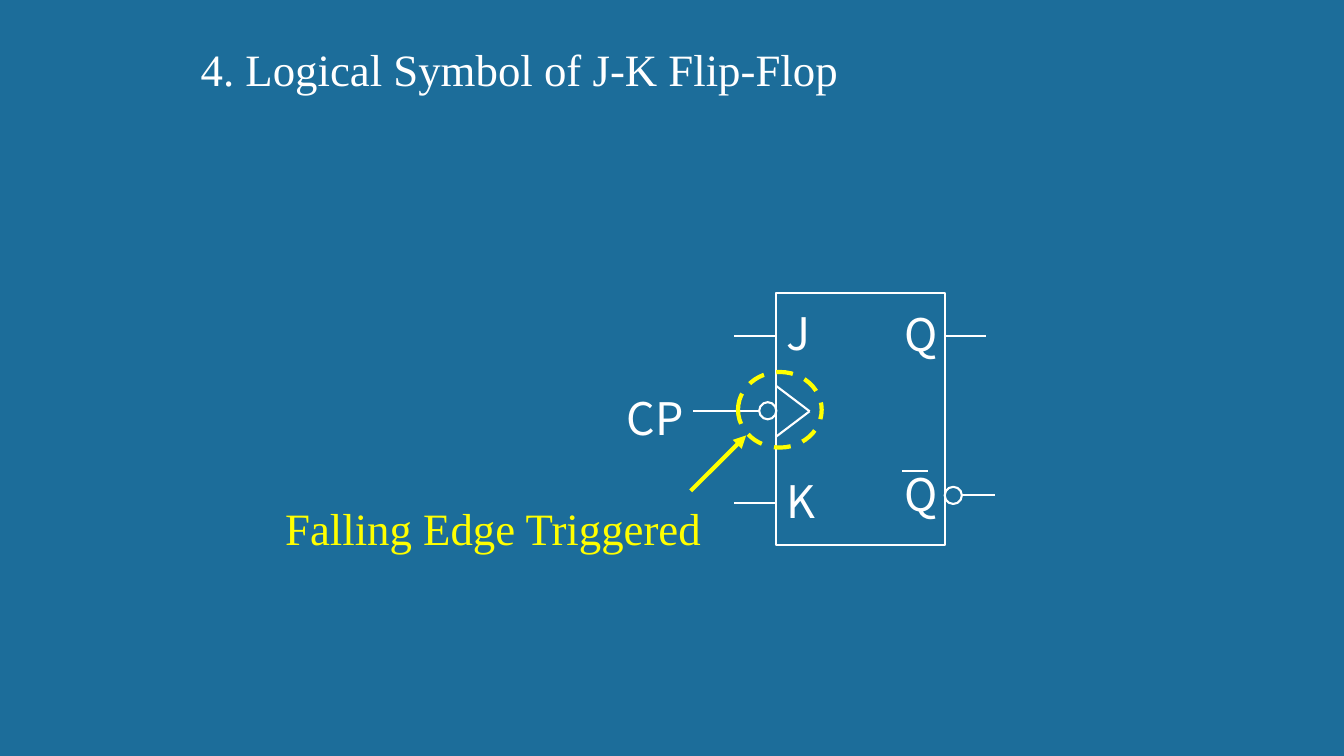
import pptx
import pptx.util
import pptx.dml.color
import pptx.enum.dml
import pptx.enum.shapes
import pptx.enum.text
import pptx.oxml
import pptx.oxml.ns
from pptx.util import Inches

WHITE, YELLOW, BLUE = "FFFFFF", "FFFF00", "1C6D9A"
SERIF, SANS = "Times New Roman", "Noto Sans CJK SC"
SHAPE = pptx.enum.shapes.MSO_SHAPE


def tint(code):
    return pptx.dml.color.RGBColor.from_string(code)


def write(frame, text, font=SERIF, color=WHITE, size=32, wrap=True,
          anchor=pptx.enum.text.MSO_ANCHOR.TOP):
    """Put one left-aligned line of text in a frame that fits its text."""
    frame.word_wrap = wrap
    frame.auto_size = pptx.enum.text.MSO_AUTO_SIZE.SHAPE_TO_FIT_TEXT
    frame.vertical_anchor = anchor
    para = frame.paragraphs[0]
    para.alignment = pptx.enum.text.PP_ALIGN.LEFT
    run = para.add_run()
    run.text = text
    run.font.name = font
    run.font.size = pptx.util.Pt(size)
    run.font.color.rgb = tint(color)


class Board:
    """The slide, its default line style and the group being drawn into."""

    def __init__(self, deck, color=WHITE, width=1.5):
        self.slide = deck.slides.add_slide(deck.slide_layouts[5])
        self.slide.background.fill.solid()
        self.slide.background.fill.fore_color.rgb = tint(BLUE)
        self.color, self.width = color, width
        self.shapes = self.slide.shapes

    def group(self):
        self.shapes = self.slide.shapes.add_group_shape().shapes

    def leave(self):
        """Go back from the group to the slide itself."""
        self.shapes = self.slide.shapes

    def title(self, text, x, y, w, h):
        holder = self.slide.shapes.title
        holder.left, holder.top = Inches(x), Inches(y)
        holder.width, holder.height = Inches(w), Inches(h)
        write(holder.text_frame, text, anchor=pptx.enum.text.MSO_ANCHOR.BOTTOM)

    def label(self, text, x, y, w, h, **style):
        box = self.shapes.add_textbox(Inches(x), Inches(y), Inches(w), Inches(h))
        write(box.text_frame, text, **style)

    def stroke(self, line, color, width):
        line.color.rgb = tint(color or self.color)
        line.width = pptx.util.Pt(width or self.width)

    def shape(self, kind, x, y, w, h, color=None, width=None, dash=None):
        item = self.shapes.add_shape(kind, Inches(x), Inches(y), Inches(w), Inches(h))
        item.shadow.inherit = False
        item.fill.background()
        self.stroke(item.line, color, width)
        if dash:
            item.line.dash_style = dash

    def wire(self, x1, y1, x2, y2, color=None, width=None, arrow=False):
        item = self.shapes.add_connector(
            pptx.enum.shapes.MSO_CONNECTOR.STRAIGHT,
            Inches(x1), Inches(y1), Inches(x2), Inches(y2))
        self.stroke(item.line, color, width)
        props = item._element.spPr
        if arrow:
            tip = pptx.oxml.parse_xml(
                f'<a:tailEnd {pptx.oxml.ns.nsdecls("a")} type="triangle"/>')
            item.line._get_or_add_ln().append(tip)
        props.append(pptx.oxml.parse_xml(
            f'<a:effectLst {pptx.oxml.ns.nsdecls("a")}/>'))


def main():
    deck = pptx.Presentation()
    deck.slide_width, deck.slide_height = Inches(13.33), Inches(7.5)
    board = Board(deck)
    board.title("4. Logical Symbol of J-K Flip-Flop", 1.89, 0.36, 9.58, 0.64)

    # Flip-flop symbol
    left, right, clock, ring = 7.7, 9.37, 4.08, 0.17
    board.group()
    board.shape(SHAPE.RECTANGLE, left, 2.91, right - left, 2.5)
    for edge in (clock - 0.25, clock + 0.25):
        board.wire(left, edge, left + 0.33, clock)
    for x1, x2, y in [(right, 9.78, 3.33), (right + ring, 9.87, 4.91),
                      (left - ring, 6.87, clock), (left, 7.28, 3.33),
                      (left, 7.28, 4.99), (8.95, 9.2, 4.67)]:
        board.wire(x1, y, x2, y)
    for x, y in [(left - ring, 3.99), (right, 4.83)]:
        board.shape(SHAPE.OVAL, x, y, ring, ring)
    for text, x, y in [("J", left, 2.98), ("K", left, 4.65),
                       ("Q", 8.87, 2.99), ("Q", 8.87, 4.58)]:
        board.label(text, x, y, 0.42, 0.63, font=SANS, wrap=False)
    board.label("CP", 6.12, 3.83, 1, 0.63, font=SANS)
    board.leave()

    # Clock edge callout
    board.shape(SHAPE.OVAL, 7.32, 3.69, 0.83, 0.75, color=YELLOW, width=3,
                dash=pptx.enum.dml.MSO_LINE.DASH)
    board.wire(6.85, 4.87, 7.4, 4.32, color=YELLOW, width=3, arrow=True)
    board.label("Falling Edge Triggered", 2.73, 4.92, 4.65, 0.64, color=YELLOW)
    deck.save("out.pptx")


if __name__ == "__main__":
    main()
